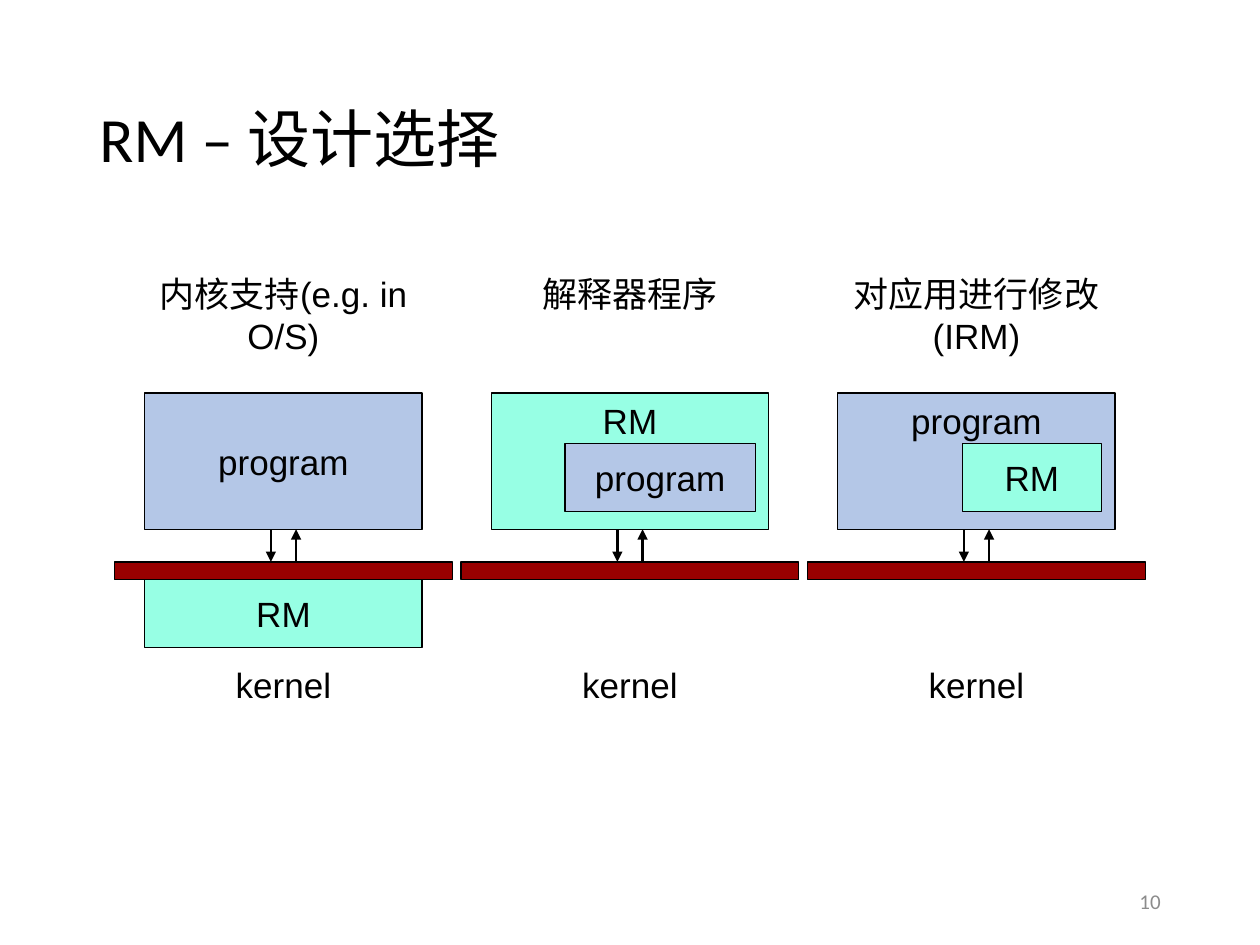
from dataclasses import dataclass
from typing import Optional

from lxml.etree import SubElement
from pptx import Presentation
from pptx.dml.color import RGBColor
from pptx.enum.shapes import MSO_CONNECTOR, MSO_SHAPE
from pptx.enum.text import MSO_ANCHOR, PP_ALIGN
from pptx.oxml.ns import qn
from pptx.util import Inches, Pt

BLACK = RGBColor(0, 0, 0)
GRAY = RGBColor(0x8C, 0x8C, 0x8C)
BLUE = RGBColor(0xB4, 0xC7, 0xE7)
MINT = RGBColor(0x97, 0xFF, 0xE4)
RED = RGBColor(0x99, 0, 0)

FIRST, PITCH = 2.25, 2.75
BOX_W, BOX_H, HALF = 2.2, 1.08, 0.54
BOX_Y, BAR_Y, BAR_H = 3.12, 4.46, 0.14


@dataclass(frozen=True)
class Part:
    """A named block, placed by its offset from the column's middle."""
    name: str
    fill: RGBColor
    top: float
    width: float = BOX_W
    height: float = HALF
    shift: float = 0


@dataclass(frozen=True)
class Design:
    """One column: a heading, an outer block and the block it works with."""
    title: str
    span: float
    pad: float
    outer: Part
    inner: Optional[Part] = None
    under: Optional[Part] = None


DESIGNS = (
    Design("内核支持(e.g. in O/S)", 2.83, 0.3,
           Part("program", BLUE, BOX_Y, height=BOX_H),
           under=Part("RM", MINT, BAR_Y + BAR_H)),
    Design("解释器程序", 1.6, 0.05,
           Part("RM", MINT, BOX_Y, height=BOX_H),
           inner=Part("program", BLUE, BOX_Y + 0.4, 1.51, shift=0.24)),
    Design("对应用进行修改(IRM)", 2.87, 0.3,
           Part("program", BLUE, BOX_Y, height=BOX_H),
           inner=Part("RM", MINT, BOX_Y + 0.4, 1.1, shift=0.44)),
)


def write(shape, text: str, *, size=20, font="Arial", color=BLACK,
          align=PP_ALIGN.CENTER, anchor=MSO_ANCHOR.TOP, wrap=False,
          pad=0.1, lead=1.0) -> None:
    """Put formatted text into a shape."""
    frame = shape.text_frame
    frame.word_wrap = wrap
    frame.vertical_anchor = anchor
    frame.margin_left = frame.margin_right = Inches(pad)
    para = frame.paragraphs[0]
    para.alignment = align
    para.line_spacing = lead
    run = para.add_run()
    run.text = text
    run.font.size = Pt(size)
    run.font.name = font
    run.font.color.rgb = color


def label(slide, text: str, left: float, top: float, width: float,
          height: float, **form) -> None:
    """Add a text box."""
    box = slide.shapes.add_textbox(*map(Inches, (left, top, width, height)))
    write(box, text, **form)


def block(slide, part: Part, mid: float, anchor=MSO_ANCHOR.MIDDLE) -> None:
    """Draw a filled block with its name, if it has one."""
    left = mid + part.shift - part.width / 2
    area = map(Inches, (left, part.top, part.width, part.height))
    shape = slide.shapes.add_shape(MSO_SHAPE.RECTANGLE, *area)
    shape.shadow.inherit = False
    shape.fill.solid()
    shape.fill.fore_color.rgb = part.fill
    shape.line.color.rgb = BLACK
    shape.line.width = Pt(0.75)
    if part.name:
        write(shape, part.name, anchor=anchor)


def arrow(slide, x: float, end: str) -> None:
    """Link a block and the kernel bar, with the head at the given end."""
    ends = map(Inches, (x, BOX_Y + BOX_H, x, BAR_Y))
    line = slide.shapes.add_connector(MSO_CONNECTOR.STRAIGHT, *ends)
    line.line.color.rgb = BLACK
    line.line.width = Pt(1.5)
    SubElement(line.line._get_or_add_ln(), qn(end), type="triangle")
    SubElement(line._element.spPr, qn("a:effectLst"))


def column(slide, item: Design, mid: float) -> None:
    """Draw one design choice around its middle line."""
    anchor = MSO_ANCHOR.TOP if item.inner else MSO_ANCHOR.MIDDLE
    block(slide, item.outer, mid, anchor)
    block(slide, Part("", RED, BAR_Y, 2.68, BAR_H), mid)
    for part in (item.inner, item.under):
        if part:
            block(slide, part, mid)
    label(slide, "kernel", mid - 0.485, 5.22, 0.97, 0.44)
    label(slide, item.title, mid - item.span / 2, 2.11, item.span, 0.44,
          wrap=True, pad=item.pad)
    arrow(slide, mid - 0.1, "a:tailEnd")
    arrow(slide, mid + 0.1, "a:headEnd")


def main() -> None:
    """Build and save the slide."""
    deck = Presentation()
    deck.slide_width, deck.slide_height = Inches(10), Inches(7.5)
    slide = deck.slides.add_slide(deck.slide_layouts[6])
    label(slide, "RM – 设计选择", 0.69, 0.4, 8.62, 1.45, size=36,
          font="Calibri", align=PP_ALIGN.LEFT, anchor=MSO_ANCHOR.MIDDLE,
          wrap=True, lead=0.9)
    for index, item in enumerate(DESIGNS):
        column(slide, item, FIRST + index * PITCH)
    label(slide, "10", 7.06, 6.95, 2.25, 0.4, size=12, font="Calibri",
          color=GRAY, align=PP_ALIGN.RIGHT, anchor=MSO_ANCHOR.MIDDLE,
          wrap=True)
    deck.save("out.pptx")


if __name__ == "__main__":
    main()
